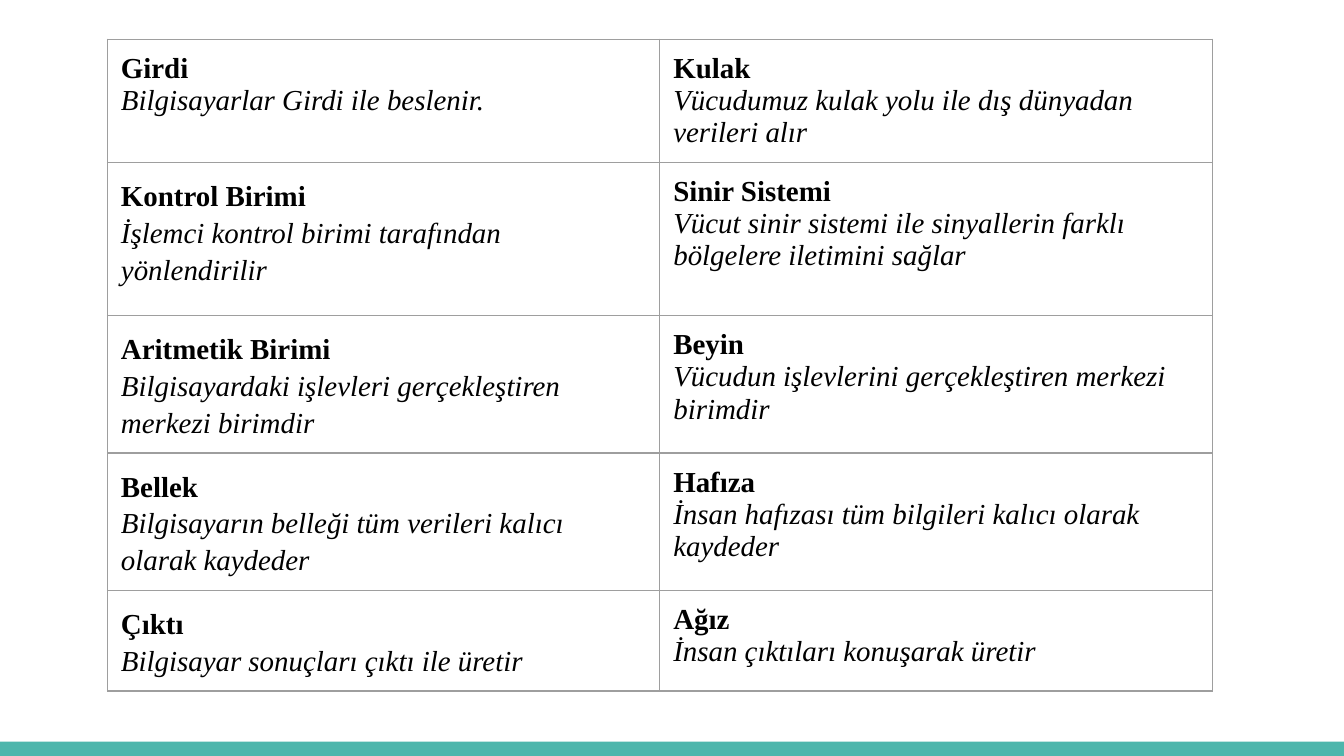
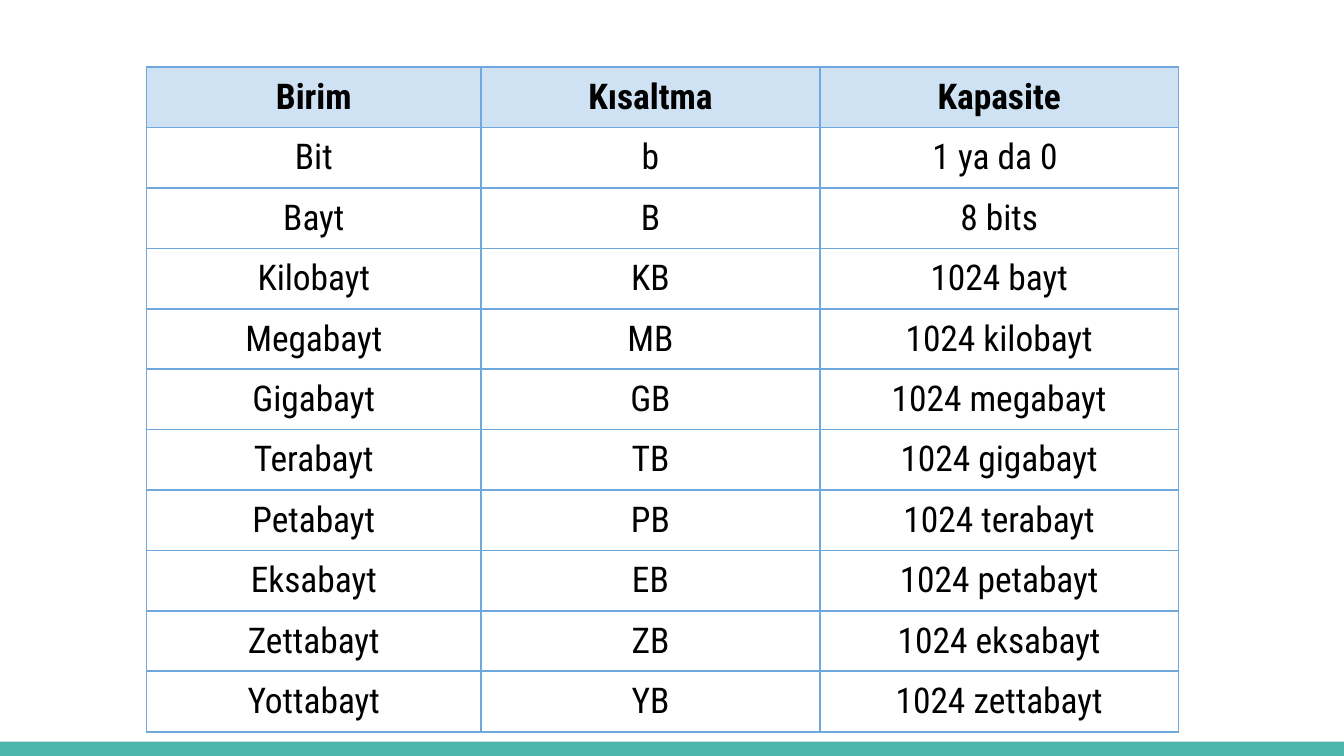
from dataclasses import dataclass

from lxml import etree
from pptx import Presentation
from pptx import util as u
from pptx.dml.color import RGBColor as Rgb
from pptx.enum import shapes, text
from pptx.oxml.ns import qn


@dataclass(frozen=True)
class Theme:
    ink: str = "000000"
    teal: str = "4DB6AC"
    gray: str = "9E9E9E"
    blue: str = "6FA8DC"
    pale: str = "CFE2F3"
    serif: str = "Times New Roman"
    sans: str = "Roboto Condensed"
    small: float = 15.5
    large: float = 19


class Deck:
    def __init__(self, theme):
        self.theme = theme
        self.prs = Presentation()
        self.prs.slide_width = u.Inches(10)
        self.prs.slide_height = u.Inches(5.625)
        self.slide = None

    def col(self, n):
        return round(self.prs.slide_width * n / 100)

    def row(self, n):
        return round(self.prs.slide_height * n / 100)

    def page(self):
        self.slide = self.prs.slides.add_slide(self.prs.slide_layouts[6])
        if len(self.prs.slides) == 1:
            self.band()

    def band(self):
        bar = self.slide.shapes.add_shape(
            shapes.MSO_SHAPE.RECTANGLE, 0, self.row(98.1), self.col(100), self.row(1.9))
        bar.shadow.inherit = False
        bar.fill.solid()
        bar.fill.fore_color.rgb = Rgb.from_string(self.theme.teal)
        bar.line.fill.background()
        node = bar._element
        node.nvSpPr.cNvPr.set("id", "99")
        self.prs.slide_master.shapes._spTree.append(node)

    def table(self, left, top, cols, rows):
        frame = self.slide.shapes.add_table(
            len(rows), len(cols), self.col(left), self.row(top),
            self.col(sum(cols)), self.row(sum(rows)))
        grid = frame.table
        grid.first_row = grid.horz_banding = False
        for part, size in zip(grid.columns, cols):
            part.width = self.col(size)
        for part, size in zip(grid.rows, rows):
            part.height = self.row(size)
        return grid

    def cell(self, cell, lines, face, pad, edge, fill=None, para=None):
        for side in ("left", "right", "top", "bottom"):
            setattr(cell, f"margin_{side}", u.Inches(pad))
        if fill:
            cell.fill.solid()
            cell.fill.fore_color.rgb = Rgb.from_string(fill)
        else:
            cell.fill.background()
        self.edge(cell, *edge)
        frame = cell.text_frame
        for i, (words, style) in enumerate(lines):
            p = frame.add_paragraph() if i else frame.paragraphs[0]
            for key, val in (para or {}).items():
                setattr(p, key, val)
            run = p.add_run()
            run.text = words
            for key, val in {**face, **style}.items():
                setattr(run.font, key, val)
            run.font.color.rgb = Rgb.from_string(self.theme.ink)

    def edge(self, cell, hue, width):
        props = cell._tc.get_or_add_tcPr()
        for i, side in enumerate("LRTB"):
            line = etree.Element(qn(f"a:ln{side}"), w=str(u.Pt(width)))
            fill = etree.SubElement(line, qn("a:solidFill"))
            etree.SubElement(fill, qn("a:srgbClr"), val=hue)
            props.insert(i, line)


PAIRS = [
    [("Girdi", "Bilgisayarlar Girdi ile beslenir."),
     ("Kulak", "Vücudumuz kulak yolu ile dış dünyadan verileri alır")],
    [("Kontrol Birimi", "İşlemci kontrol birimi tarafından yönlendirilir"),
     ("Sinir Sistemi", "Vücut sinir sistemi ile sinyallerin farklı bölgelere iletimini sağlar")],
    [("Aritmetik Birimi", "Bilgisayardaki işlevleri gerçekleştiren merkezi birimdir"),
     ("Beyin", "Vücudun işlevlerini gerçekleştiren merkezi birimdir")],
    [("Bellek", "Bilgisayarın belleği tüm verileri kalıcı olarak kaydeder"),
     ("Hafıza", "İnsan hafızası tüm bilgileri kalıcı olarak kaydeder")],
    [("Çıktı ", "Bilgisayar sonuçları çıktı ile üretir"),
     ("Ağız", "İnsan çıktıları konuşarak üretir")],
]

UNITS = ["Bayt"] + [p + "bayt" for p in (
    "Kilo", "Mega", "Giga", "Tera", "Peta", "Eksa", "Zetta", "Yotta")]


def body(deck):
    t = deck.theme
    deck.page()
    grid = deck.table(8, 5.2, [41.1] * 2, [13.7, 20.27, 16.36, 16.36, 12.8])
    face = {"name": t.serif, "size": u.Pt(t.small)}
    for r, pair in enumerate(PAIRS):
        for c, (head, note) in enumerate(pair):
            loose = r > 0 and c == 0
            deck.cell(
                grid.cell(r, c),
                [(head, {"bold": True}), (note, {"italic": True})],
                face, 0.1, (t.gray, 0.75),
                para={"line_spacing": 1.15 if loose else 1.0})


def units(deck):
    t = deck.theme
    rows = [("Birim", "Kısaltma", "Kapasite"),
            ("Bit", "b", "1 ya da 0 "),
            ("Bayt", "B", "8 bits")]
    rows += [(name, name[0] + "B", f"1024 {last.lower()}")
             for last, name in zip(UNITS, UNITS[1:])]
    deck.page()
    grid = deck.table(10.9, 8.87, [24.9, 25.2, 26.7], [6.6] * len(rows))
    face = {"name": t.sans, "size": u.Pt(t.large)}
    for r, row in enumerate(rows):
        for c, words in enumerate(row):
            deck.cell(
                grid.cell(r, c), [(words, {"bold": r == 0})],
                face, 0.07, (t.blue, 1), fill=None if r else t.pale,
                para={"alignment": text.PP_ALIGN.CENTER})


def main():
    deck = Deck(Theme())
    body(deck)
    units(deck)
    deck.prs.save("out.pptx")


if __name__ == "__main__":
    main()
